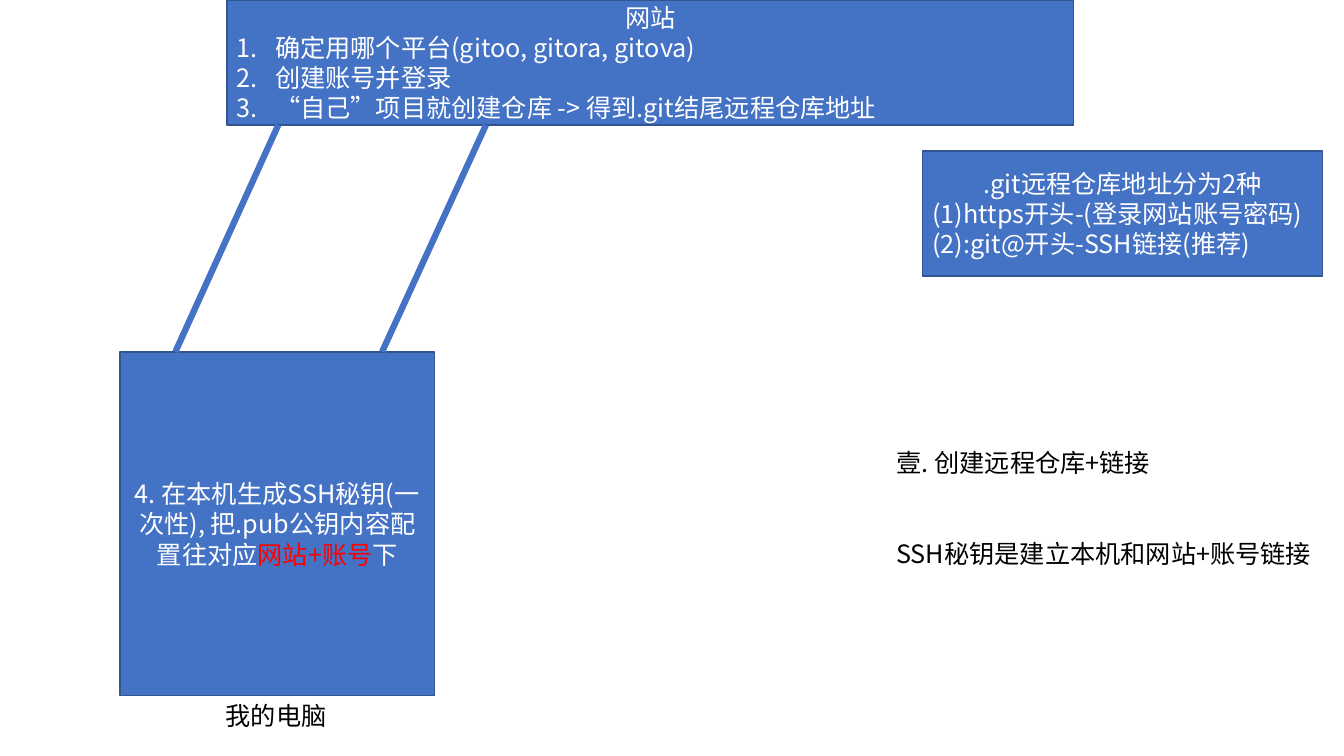
from lxml import etree
from pptx import Presentation
from pptx.dml.color import RGBColor
from pptx.enum.shapes import MSO_CONNECTOR, MSO_SHAPE
from pptx.enum.text import MSO_ANCHOR, MSO_AUTO_SIZE, PP_ALIGN
from pptx.oxml.ns import qn
from pptx.util import Inches, Pt

RECT = MSO_SHAPE.RECTANGLE
LINE = MSO_CONNECTOR.STRAIGHT
MIDDLE = MSO_ANCHOR.MIDDLE
GROW = MSO_AUTO_SIZE.SHAPE_TO_FIT_TEXT
LEFT, CENTER = PP_ALIGN.LEFT, PP_ALIGN.CENTER

BLUE = RGBColor(0x44, 0x72, 0xC4)
EDGE = RGBColor(0x32, 0x54, 0x91)
WHITE = RGBColor(0xFF, 0xFF, 0xFF)
BLACK = RGBColor(0, 0, 0)
RED = RGBColor(0xFF, 0, 0)
FONT = "Noto Sans CJK SC"
SIZE = Pt(18)
HANG = Inches(0.38)
GAP = Pt(43.5)
ARABIC, CHINESE = "arabicPeriod", "ea1ChsPeriod"

SITE = [
    ("网站", CENTER, None),
    ("确定用哪个平台(gitoo, gitora, gitova)", LEFT, ARABIC),
    ("创建账号并登录", LEFT, ARABIC),
    ("“自己”项目就创建仓库 -> 得到.git结尾远程仓库地址", LEFT, ARABIC),
]
KEY = [("4. 在本机生成SSH秘钥(一次性), 把.pub公钥内容配置往对应|网站+账号|下", CENTER, None)]
KINDS = [
    (".git远程仓库地址分为2种", CENTER, None),
    ("(1)https开头-(登录网站账号密码)", LEFT, None),
    ("(2):git@开头-SSH链接(推荐)", LEFT, None),
]
LOCAL = [("我的电脑", LEFT, None)]
NOTES = [
    ("创建远程仓库+链接", LEFT, CHINESE),
    ("SSH秘钥是建立本机和网站+账号链接", LEFT, None),
]

BOXES = [
    (SITE, 2.25, 0, 8.4, 1.24),
    (KEY, 1.19, 3.49, 3.12, 3.41),
    (KINDS, 9.15, 1.5, 3.97, 1.24),
]
LABELS = [
    (LOCAL, 2.14, 6.9, 1.21, 0.4, False),
    (NOTES, 8.79, 4.39, 4.34, 1.31, True),
]
LINKS = [(4.82, 3.79), (2.76, 1.74)]
TOP, BASE = 1.24, 3.49


def number(para, style):
    props = para._p.get_or_add_pPr()
    props.set("marL", str(HANG))
    props.set("indent", str(-HANG))
    etree.SubElement(props, qn("a:buFont"), typeface="+mj-lt")
    etree.SubElement(props, qn("a:buAutoNum"), type=style)


def write(frame, lines, color):
    for i, (text, align, style) in enumerate(lines):
        para = frame.add_paragraph() if i else frame.paragraphs[0]
        para.alignment = align
        if style:
            number(para, style)
        font = para.font
        font.name, font.size = FONT, SIZE
        font.color.rgb = color
        props = para._p.pPr.find(qn("a:defRPr"))
        etree.SubElement(props, qn("a:ea"), typeface=FONT)
        for j, part in enumerate(text.split("|")):
            run = para.add_run()
            run.text = part
            if j % 2:
                run.font.color.rgb = RED


def main():
    deck = Presentation()
    deck.slide_width, deck.slide_height = Inches(13.33), Inches(7.5)
    shapes = deck.slides.add_slide(deck.slide_layouts[6]).shapes

    for lines, *place in BOXES:
        box = shapes.add_shape(RECT, *map(Inches, place))
        box.shadow.inherit = False
        box.fill.solid()
        box.fill.fore_color.rgb = BLUE
        box.line.color.rgb = EDGE
        box.line.width = Pt(1)
        frame = box.text_frame
        frame.word_wrap = True
        frame.vertical_anchor = MIDDLE
        write(frame, lines, WHITE)

    for start, end in LINKS:
        link = shapes.add_connector(
            LINE, Inches(start), Inches(TOP), Inches(end), Inches(BASE))
        link.line.color.rgb = BLUE
        link.line.width = Pt(4.5)
        etree.SubElement(link._element.spPr, qn("a:effectLst"))

    for lines, *place, wrap in LABELS:
        frame = shapes.add_textbox(*map(Inches, place)).text_frame
        frame.word_wrap = wrap
        frame.auto_size = GROW
        write(frame, lines, BLACK)
        for para in frame.paragraphs[1:]:
            para.space_before = GAP

    deck.save("out.pptx")


if __name__ == "__main__":
    main()
